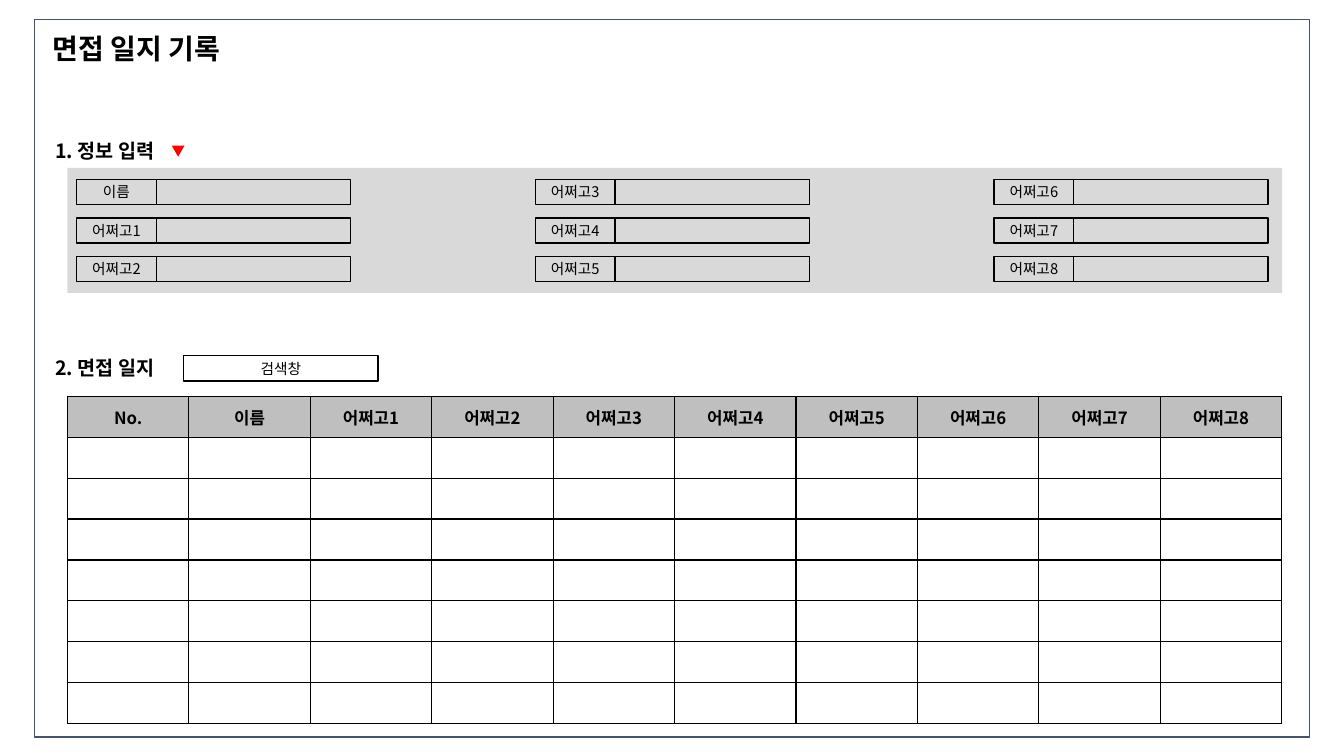
from itertools import product
from lxml.etree import SubElement
from pptx import Presentation
from pptx.dml.color import RGBColor
from pptx.enum.shapes import MSO_SHAPE
from pptx.enum.text import MSO_ANCHOR, MSO_AUTO_SIZE, PP_ALIGN
from pptx.oxml import parse_xml
from pptx.oxml.ns import nsdecls, qn
from pptx.util import Cm, Pt


def color(value):
    return RGBColor.from_string(value)


class Sheet:
    font = "Noto Sans CJK KR"
    ink = "000000"

    def __init__(self, page):
        self.page = page

    def label(self, para, text, size, bold=False, align=PP_ALIGN.CENTER):
        para.text = text
        para.alignment = align
        para.font.size = Pt(size)
        para.font.bold = bold
        para.font.name = self.font
        para.font.color.rgb = color(self.ink)
        defaults = para._p.pPr.find(qn("a:defRPr"))
        SubElement(defaults, qn("a:ea")).set("typeface", self.font)

    def shape(self, kind, left, top, width, height, fill=None, line=None, text=""):
        box = self.page.shapes.add_shape(kind, Cm(left), Cm(top), Cm(width), Cm(height))
        box.shadow.inherit = False
        if fill:
            box.fill.solid()
            box.fill.fore_color.rgb = color(fill)
        else:
            box.fill.background()
        if line:
            box.line.color.rgb = color(line)
            box.line.width = Pt(1)
        else:
            box.line.fill.background()
        if text:
            box.text_frame.vertical_anchor = MSO_ANCHOR.MIDDLE
            self.label(box.text_frame.paragraphs[0], text, 10.5)
        return box

    def field(self, left, top, width, text=""):
        self.shape(MSO_SHAPE.RECTANGLE, left, top, width, 0.64, line=self.ink, text=text)

    def heading(self, left, top, width, height, text, size):
        box = self.page.shapes.add_textbox(Cm(left), Cm(top), Cm(width), Cm(height))
        box.text_frame.word_wrap = False
        box.text_frame.auto_size = MSO_AUTO_SIZE.SHAPE_TO_FIT_TEXT
        self.label(box.text_frame.paragraphs[0], text, size, True, PP_ALIGN.LEFT)

    def border(self, cell):
        properties = cell._tc.get_or_add_tcPr()
        for index, side in enumerate(("lnL", "lnR", "lnT", "lnB")):
            properties.insert(index, parse_xml(
                f'<a:{side} {nsdecls("a")} w="{Pt(1)}"><a:solidFill>'
                f'<a:srgbClr val="{self.ink}"/></a:solidFill></a:{side}>'))

    def table(self, left, top, column_width, row_height, headers, row_count):
        grid = self.page.shapes.add_table(
            row_count, len(headers), Cm(left), Cm(top),
            Cm(column_width * len(headers)), Cm(row_height * row_count)).table
        for column in grid.columns:
            column.width = Cm(column_width)
        for row in grid.rows:
            row.height = Cm(row_height)
        for row, column in product(range(row_count), range(len(headers))):
            cell = grid.cell(row, column)
            cell.vertical_anchor = MSO_ANCHOR.MIDDLE
            if row == 0:
                cell.fill.solid()
                cell.fill.fore_color.rgb = color("BFBFBF")
            else:
                cell.fill.background()
            self.label(cell.text_frame.paragraphs[0],
                       headers[column] if row == 0 else "", 12, row == 0)
            self.border(cell)


deck = Presentation()
deck.slide_width, deck.slide_height = Cm(33.87), Cm(19.05)
sheet = Sheet(deck.slides.add_slide(deck.slide_layouts[6]))

names = ["이름"] + [f"어쩌고{number}" for number in range(1, 9)]
name_width, field_width = 2.01, 4.9

sheet.shape(MSO_SHAPE.RECTANGLE, 1.7, 4.23, 30.61, 3.15, fill="D9D9D9")
sheet.shape(MSO_SHAPE.RECTANGLE, 0.87, 0.49, 32.13, 18.08, line="44546A")
sheet.heading(1.07, 0.68, 5.28, 1.11, "면접 일지 기록", 20)
sheet.heading(1.14, 3.38, 3.26, 0.86, "1. 정보 입력", 14)
marker = sheet.shape(MSO_SHAPE.ISOSCELES_TRIANGLE, 4.33, 3.67, 0.32, 0.28, fill="FF0000")
marker.rotation = 180

for index, name in enumerate(names):
    column, row = divmod(index, 3)
    left, top = 1.93 + 11.56 * column, 4.52 + 0.97 * row
    sheet.field(left, top, name_width, name)
    sheet.field(left + name_width, top, field_width)

sheet.heading(1.14, 8.85, 3.28, 0.86, "2. 면접 일지", 14)
sheet.field(4.63, 8.96, field_width, "검색창")
sheet.table(1.7, 9.99, 3.06, 1.03, ["No."] + names, 8)

deck.save("out.pptx")
